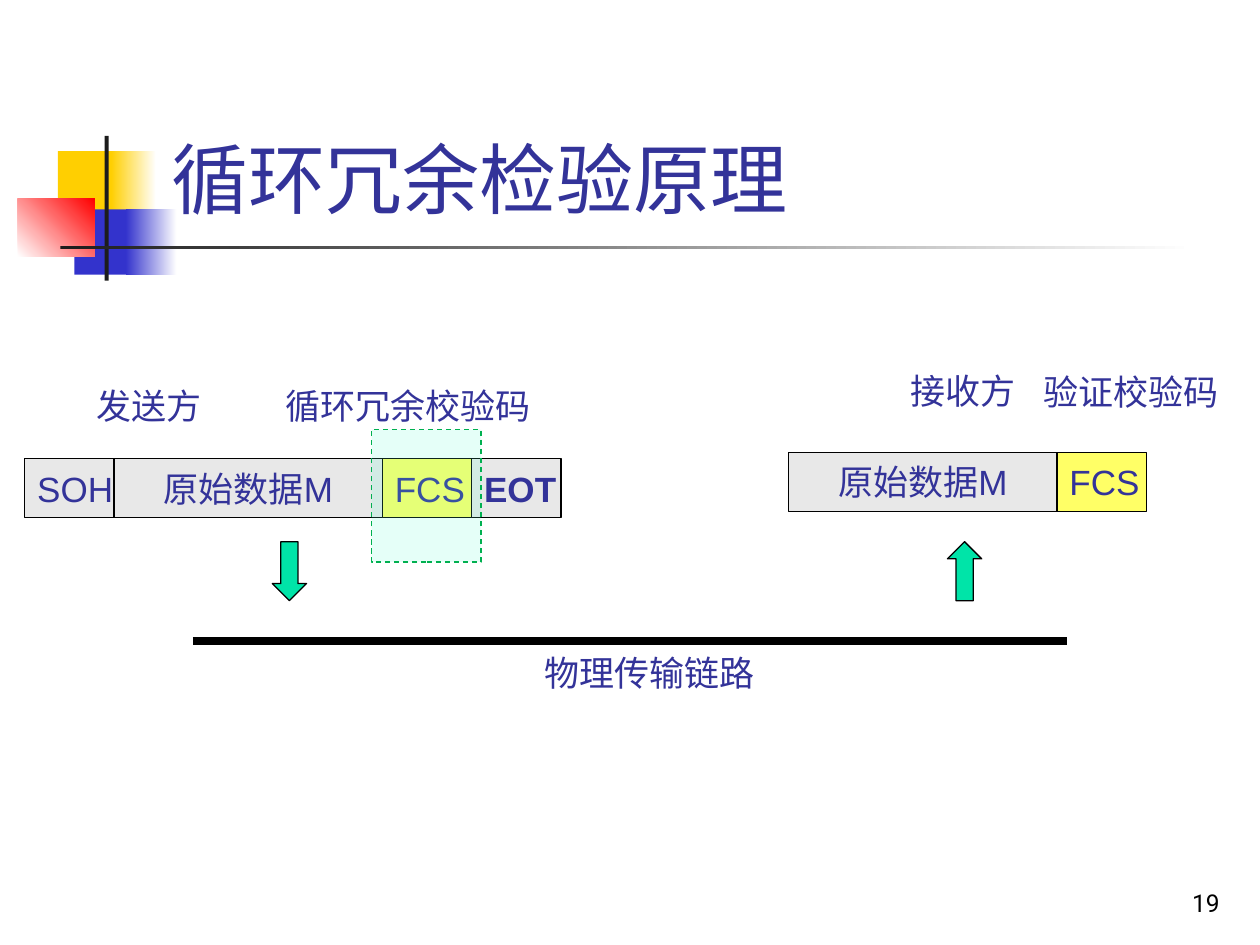
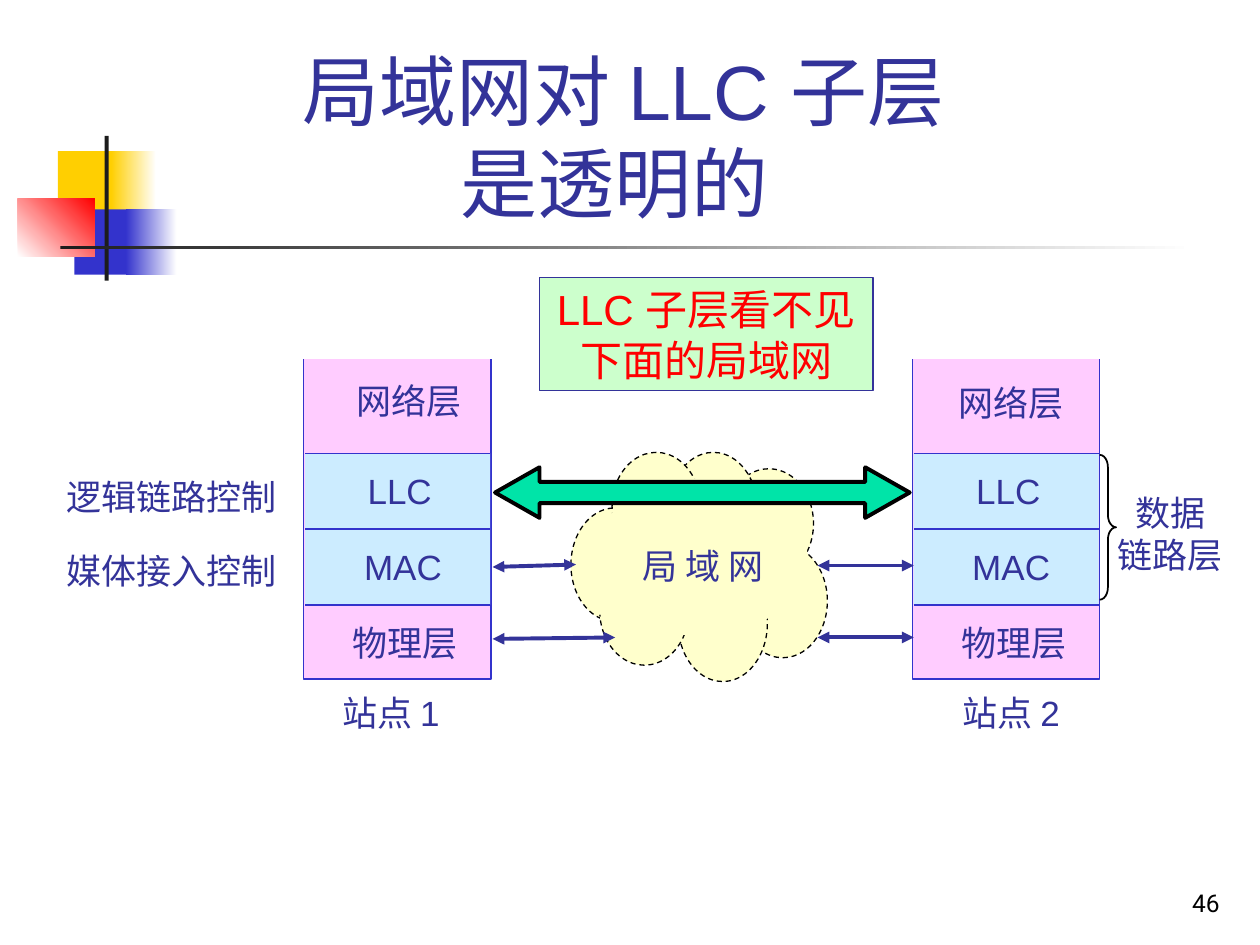
from typing import NamedTuple, Optional

from pptx import Presentation
from pptx.dml.color import RGBColor
from pptx.enum.dml import MSO_LINE
from pptx.enum.lang import MSO_LANGUAGE_ID
from pptx.enum.shapes import MSO_CONNECTOR, MSO_SHAPE
from pptx.enum.text import MSO_ANCHOR, PP_ALIGN
from pptx.oxml.ns import qn
from pptx.util import Cm, Pt
from lxml.etree import SubElement

INK = RGBColor(0x33, 0x33, 0x99)
BLUE = RGBColor(0x33, 0x33, 0xCC)
GOLD = RGBColor(0xFF, 0xCF, 0x01)
RED = RGBColor(0xFF, 0x00, 0x00)
DARK = RGBColor(0x1C, 0x1C, 0x1C)
BLACK = RGBColor(0x00, 0x00, 0x00)
WHITE = RGBColor(0xFF, 0xFF, 0xFF)
GREY = RGBColor(0xE8, 0xE8, 0xE8)
LEMON = RGBColor(0xFF, 0xFF, 0x66)
CREAM = RGBColor(0xFF, 0xFF, 0xCC)
PINK = RGBColor(0xFF, 0xCC, 0xFF)
SKY = RGBColor(0xCC, 0xEC, 0xFF)
LIME = RGBColor(0xCC, 0xFF, 0xCC)
TEAL = RGBColor(0x00, 0xE4, 0xA8)
MINT = RGBColor(0x56, 0xFF, 0xD2)
GREEN = RGBColor(0x00, 0xB0, 0x50)


class Box(NamedTuple):
    left: float
    top: float
    width: float
    height: float

    def cm(self) -> list:
        return [Cm(size) for size in self]


class Decor(NamedTuple):
    box: Box
    fill: RGBColor
    fade: Optional[RGBColor] = None
    angle: float = 0


class Cell(NamedTuple):
    text: str
    width: float
    fill: RGBColor = GREY
    align: PP_ALIGN = PP_ALIGN.LEFT
    bold: bool = False


class Label(NamedTuple):
    text: str
    left: float
    top: float
    width: float


DECOR = [
    Decor(Box(1.17, 3.05, 1.22, 1.32), GOLD),
    Decor(Box(2.24, 3.05, 0.91, 1.32), GOLD, WHITE),
    Decor(Box(1.5, 4.22, 1.17, 1.32), BLUE),
    Decor(Box(2.54, 4.22, 1.02, 1.32), BLUE, WHITE),
    Decor(Box(0.36, 4.01, 1.55, 1.17), WHITE, RED, 45),
    Decor(Box(2.11, 2.74, 0.08, 2.92), DARK),
    Decor(Box(1.22, 4.95, 22.86, 0.08), DARK, WHITE),
]

DATA = Cell("原始数据M", 5.41, align=PP_ALIGN.CENTER)
CHECK = Cell("FCS", 1.8, LEMON)
SENT = [Cell("SOH", 1.8), DATA, CHECK, Cell("EOT", 1.8, bold=True)]
GOT = [DATA, CHECK]

NAMES = [
    Label("发送方", 1.7, 7.62, 2.62),
    Label("接收方", 18.11, 7.32, 2.62),
    Label("物理传输链路", 10.72, 13, 4.75),
    Label("循环冗余校验码", 5.51, 7.62, 5.46),
    Label("验证校验码", 20.78, 7.34, 4.04),
]

LAYERS = [
    Label("网络层", 6.93, 7.52, 2.62),
    Label("网络层", 19.08, 7.57, 2.62),
    Label("LLC", 7.16, 9.35, 1.8),
    Label("LLC", 19.43, 9.35, 1.8),
    Label("MAC", 7.09, 10.87, 2.08),
    Label("MAC", 19.35, 10.87, 2.08),
    Label("物理层", 6.86, 12.4, 2.62),
    Label("物理层", 19.13, 12.4, 2.62),
    Label("站点 1", 6.65, 13.82, 2.84),
    Label("站点 2", 19.15, 13.82, 2.84),
    Label("逻辑链路控制", 1.09, 9.47, 4.75),
    Label("媒体接入控制", 1.09, 10.95, 4.75),
    Label("局 域 网", 12.7, 10.85, 3.33),
]

PUFFS = [
    Box(14.88, 10.97, 1.8, 2.29),
    Box(11.51, 10.24, 1.78, 2.29),
    Box(14.6, 9.45, 1.8, 2.21),
    Box(13.67, 11.4, 1.8, 2.34),
    Box(12.09, 11.2, 1.8, 2.21),
    Box(13.49, 9.12, 1.78, 2.29),
    Box(12.34, 9.12, 1.78, 2.18),
]
CORE = Box(11.96, 9.65, 4.32, 3.17)
PATCH = [(12.14, 11.79), (12.19, 11.84), (12.24, 11.89), (12.14, 12.37),
         (12.09, 12.4), (12.03, 12.3), (12.09, 11.99)]

ARROWS = [
    (9.93, 11.43, 11.61, 11.38),
    (18.42, 11.4, 16.48, 11.4),
    (9.93, 12.88, 12.4, 12.85),
    (18.42, 12.85, 16.48, 12.85),
]


def write(shape, text: str, *, size: float = 20, color: RGBColor = INK,
          font: str = "Arial", bold: bool = False, wrap: bool = False,
          align: PP_ALIGN = PP_ALIGN.LEFT,
          anchor: MSO_ANCHOR = MSO_ANCHOR.TOP) -> None:
    frame = shape.text_frame
    frame.text = text
    frame.word_wrap = wrap
    frame.vertical_anchor = anchor
    for para in frame.paragraphs:
        para.alignment = align
        for run in para.runs:
            run.font.size = Pt(size)
            run.font.name = font
            run.font.bold = bold
            run.font.color.rgb = color
            run.font.language_id = MSO_LANGUAGE_ID.SIMPLIFIED_CHINESE


def note(slide, box: Box, text: str, **style) -> None:
    write(slide.shapes.add_textbox(*box.cm()), text, **style)


def paint(shape, fill: Optional[RGBColor], edge: Optional[RGBColor] = None,
          width: float = 0.75, dash: bool = False) -> None:
    shape.shadow.inherit = False
    if fill is None:
        shape.fill.background()
    else:
        shape.fill.solid()
        shape.fill.fore_color.rgb = fill
    if edge is None:
        shape.line.fill.background()
        return
    shape.line.color.rgb = edge
    shape.line.width = Pt(width)
    if dash:
        shape.line.dash_style = MSO_LINE.DASH


def draw(slide, box: Box, fill: Optional[RGBColor],
         edge: Optional[RGBColor] = None,
         kind: MSO_SHAPE = MSO_SHAPE.RECTANGLE, adjust: tuple = (), **style):
    shape = slide.shapes.add_shape(kind, *box.cm())
    for index, value in enumerate(adjust):
        shape.adjustments[index] = value
    paint(shape, fill, edge, **style)
    return shape


def trace(slide, points: list, fill: RGBColor,
          edge: Optional[RGBColor] = None, close: bool = False) -> None:
    spots = [(Cm(x), Cm(y)) for x, y in points]
    pen = slide.shapes.build_freeform(*spots[0])
    pen.add_line_segments(spots[1:], close=close)
    paint(pen.convert_to_shape(), fill, edge)


def link(slide, ends: tuple, color: RGBColor, width: float,
         heads: bool = False):
    line = slide.shapes.add_connector(
        MSO_CONNECTOR.STRAIGHT, *[Cm(end) for end in ends])
    line.line.color.rgb = color
    line.line.width = Pt(width)
    props = line._element.spPr
    if heads:
        for tag in ("a:headEnd", "a:tailEnd"):
            SubElement(props.find(qn("a:ln")), qn(tag), type="triangle")
    SubElement(props, qn("a:effectLst"))
    return line


def begin(deck, title: str, box: Box, page: str, align: PP_ALIGN):
    slide = deck.slides.add_slide(deck.slide_layouts[6])
    for item in DECOR:
        shape = draw(slide, item.box, item.fill)
        if item.fade is not None:
            shape.fill.gradient()
            shape.fill.gradient_angle = item.angle
            for stop, color in zip(shape.fill.gradient_stops,
                                   (item.fill, item.fade)):
                stop.color.rgb = color
    note(slide, box, title, size=44, wrap=True, align=align,
         anchor=MSO_ANCHOR.BOTTOM)
    note(slide, Box(19.56, 17.35, 5.28, 1.27), page, size=14, color=BLACK,
         font="Roboto", wrap=True, align=PP_ALIGN.RIGHT,
         anchor=MSO_ANCHOR.BOTTOM)
    return slide


def label(slide, items: list) -> None:
    for item in items:
        note(slide, Box(item.left, item.top, item.width, 1.1), item.text)


def packet(slide, left: float, top: float, cells: list) -> None:
    for cell in cells:
        shape = draw(slide, Box(left, top, cell.width, 1.19), cell.fill, BLACK)
        write(shape, cell.text, align=cell.align, bold=cell.bold,
              anchor=MSO_ANCHOR.MIDDLE)
        left += cell.width


def station(slide, left: float) -> None:
    right, top, base = left + 3.78, 7.24, 13.69
    trace(slide, [(left, top), (left, base), (right, base), (right, top)],
          PINK, BLUE)
    box = Box(left + 0.03, 9.14, 3.73, 3.05)
    block = draw(slide, box, SKY)
    for step in range(3):
        y = box.top + step * box.height / 2
        line = link(slide, (box.left, y, box.left + box.width, y), BLUE, 1)
        if step == 1:
            line.begin_connect(block, 1)
            line.end_connect(block, 3)


def cloud(slide) -> None:
    for puff in PUFFS:
        draw(slide, puff, CREAM, BLACK, MSO_SHAPE.OVAL, dash=True)
    draw(slide, CORE, CREAM, kind=MSO_SHAPE.OVAL)
    trace(slide, PATCH, CREAM, close=True)


def cyclic(deck) -> None:
    slide = begin(deck, "循环冗余检验原理", Box(3.2, 0.58, 21.64, 4.06), "19",
                  PP_ALIGN.LEFT)
    packet(slide, 0.5, 9.25, SENT)
    packet(slide, 15.9, 9.12, GOT)
    for left, turn in ((5.49, 0), (19.1, 180)):
        arrow = draw(slide, Box(left, 10.92, 0.69, 1.19), TEAL, BLACK,
                     MSO_SHAPE.DOWN_ARROW, (0.5, 0.5))
        arrow.rotation = turn
    link(slide, (3.89, 12.93, 21.51, 12.93), BLACK, 4.5)
    label(slide, NAMES)
    focus = draw(slide, Box(7.49, 8.66, 2.21, 2.67), MINT, GREEN, dash=True)
    color = focus._element.spPr.find(qn("a:solidFill"))[0]
    SubElement(color, qn("a:alpha"), val="15000")


def hidden(deck) -> None:
    slide = begin(deck, "局域网对 LLC 子层\v是透明的 ",
                  Box(3.05, 2.59, 19.05, 2.13), "46", PP_ALIGN.CENTER)
    for left in (6.12, 18.39):
        station(slide, left)
    cloud(slide)
    for ends in ARROWS:
        link(slide, ends, INK, 2.25, heads=True)
    label(slide, LAYERS)
    draw(slide, Box(9.98, 9.42, 8.36, 1.02), TEAL, BLACK,
         MSO_SHAPE.LEFT_RIGHT_ARROW, (0.42, 0.88), width=2.25)
    draw(slide, Box(22.17, 9.17, 0.33, 2.92), None, BLACK,
         MSO_SHAPE.RIGHT_BRACE, (0.75, 0.5), width=1)
    note(slide, Box(22.28, 9.78, 2.62, 1.93), "数据\n链路层",
         align=PP_ALIGN.CENTER)
    sign = draw(slide, Box(10.87, 5.59, 6.73, 2.29), LIME, INK)
    write(sign, "LLC 子层看不见\n下面的局域网", size=24, color=RED,
          align=PP_ALIGN.CENTER, anchor=MSO_ANCHOR.MIDDLE)


def main() -> None:
    deck = Presentation()
    deck.slide_width, deck.slide_height = Cm(25.4), Cm(19.05)
    cyclic(deck)
    hidden(deck)
    deck.save("out.pptx")


if __name__ == "__main__":
    main()
